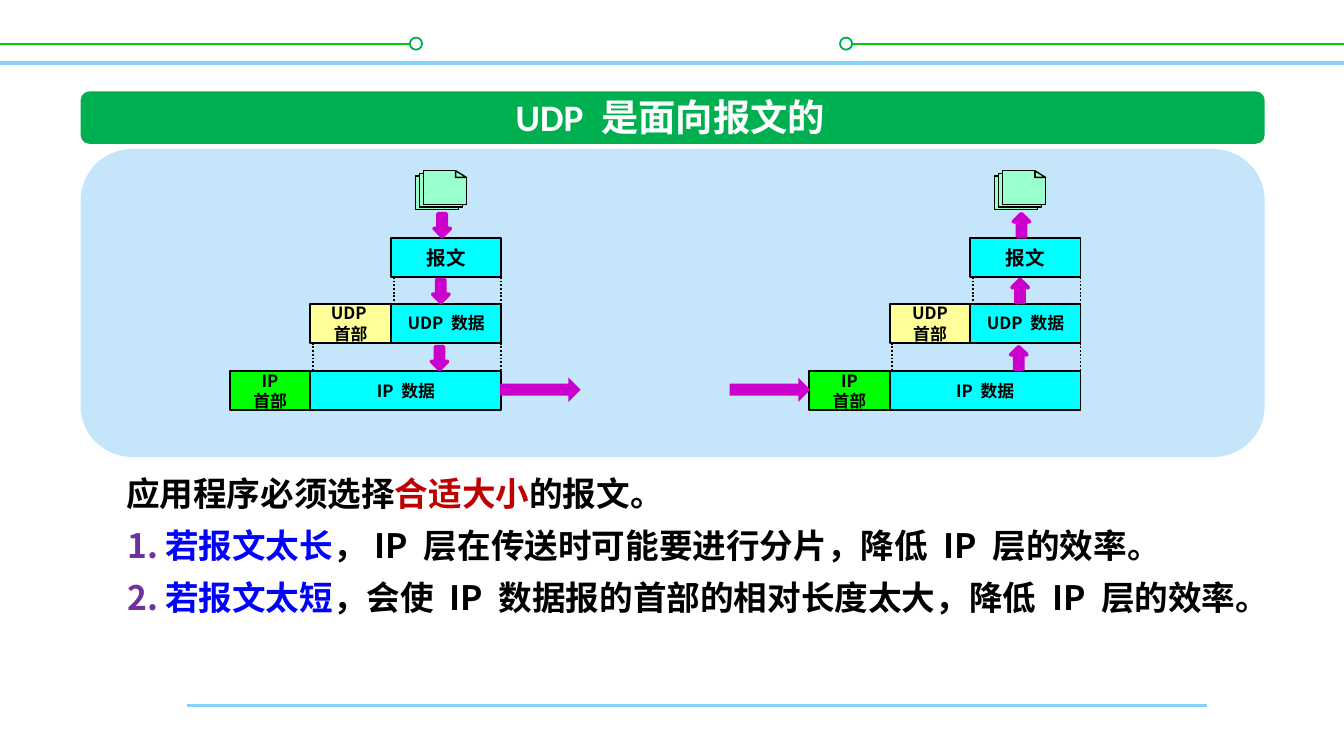
"""Build a slide showing that UDP preserves message boundaries."""
from lxml import etree
from pptx import Presentation
from pptx.dml.color import RGBColor
from pptx.enum import dml, shapes, text
from pptx.oxml import ns
from pptx.util import Inches, Pt

LATIN, CJK = "Calibri", "Noto Sans CJK SC"
WHITE = RGBColor(0xFF, 0xFF, 0xFF)
BLACK = RGBColor(0x00, 0x00, 0x00)
SKY = RGBColor(0x85, 0xD1, 0xF7)
PALE_BLUE = RGBColor(0xC5, 0xE5, 0xFB)
GREEN = RGBColor(0x00, 0xB0, 0x50)
LEAF = RGBColor(0x00, 0xCC, 0x00)
LIME = RGBColor(0x00, 0xFF, 0x00)
MINT = RGBColor(0x99, 0xFF, 0xCC)
CYAN = RGBColor(0x00, 0xFF, 0xFF)
YELLOW = RGBColor(0xFF, 0xFF, 0x99)
MAGENTA = RGBColor(0xCC, 0x00, 0xCC)
RED = RGBColor(0xC0, 0x00, 0x00)
BLUE = RGBColor(0x00, 0x00, 0xFF)
SHAPE = shapes.MSO_SHAPE

BACK_PAGE = [(0, 0.04), (0.03, 0.04), (0.03, 0.27), (0.32, 0.27),
             (0.32, 0.29), (0, 0.29)]
MIDDLE_PAGE = [(0.03, 0.02), (0.06, 0.02), (0.06, 0.25), (0.35, 0.25),
               (0.35, 0.27), (0.03, 0.27)]
FRONT_PAGE = [(0.06, 0), (0.3, 0), (0.3, 0.05), (0.38, 0.05),
              (0.38, 0.25), (0.06, 0.25)]
FOLD = [(0.3, 0), (0.38, 0.05), (0.3, 0.05)]


def paint(shape, fill, line=None, width=1):
    """Give a shape a flat fill and an optional outline."""
    shape.shadow.inherit = False
    shape.fill.solid()
    shape.fill.fore_color.rgb = fill
    if line is None:
        shape.line.fill.background()
    else:
        shape.line.color.rgb = line
        shape.line.width = Pt(width)


def add_block(parent, kind, box, fill, line=None, width=1):
    """Add a preset shape at left, top, width, height in inches."""
    block = parent.add_shape(kind, *map(Inches, box))
    paint(block, fill, line, width)
    return block


def add_rule(parent, start, end, color, width, dash=None):
    """Add a straight line without a shadow."""
    rule = parent.add_connector(
        shapes.MSO_CONNECTOR.STRAIGHT, *map(Inches, start + end))
    rule.line.color.rgb = color
    rule.line.width = Pt(width)
    if dash:
        rule.line.dash_style = dash
    etree.SubElement(rule._element.spPr, ns.qn("a:effectLst"))


def style(paragraph, size, color, name=CJK):
    """Set the bold font shared by a whole paragraph."""
    font = paragraph.font
    font.name, font.size, font.bold = name, Pt(size), True
    font.color.rgb = color


def add_field(parent, box, label, fill, size=9):
    """Add a packet field with a centred label."""
    field = add_block(parent, SHAPE.RECTANGLE, box, fill, BLACK)
    frame = field.text_frame
    frame.text = label
    frame.word_wrap = True
    frame.vertical_anchor = text.MSO_ANCHOR.MIDDLE
    for paragraph in frame.paragraphs:
        paragraph.alignment = text.PP_ALIGN.CENTER
        style(paragraph, size, BLACK)


def add_documents(parent, left, top):
    """Add a stack of pages with a folded corner as one outline."""
    builder = parent.build_freeform(Inches(left), Inches(top + 0.04))
    for outline in (BACK_PAGE, MIDDLE_PAGE, FRONT_PAGE, FOLD):
        points = [(Inches(left + x), Inches(top + y)) for x, y in outline]
        if outline is not BACK_PAGE:
            builder.move_to(*points[0])
        builder.add_line_segments(points[1:])
    paint(builder.convert_to_shape(), MINT, BLACK, 0.75)


def add_host(slide, left, arrow, udp_header):
    """Add one host's stack of message, UDP and IP layers."""
    host = slide.shapes.add_group_shape().shapes
    add_documents(host, left + 1.38, 1.27)
    message, udp, ip = 1.77, 2.26, 2.76
    height, header = 0.29, 0.6
    add_field(host, (left + 1.2, message, 0.82, height), "报文", CYAN, 10.5)
    add_field(host, (left + 1.2, udp, 0.82, height), "UDP 数据", CYAN)
    add_field(host, (left + 0.6, udp, header, height), udp_header, YELLOW)
    add_field(host, (left + 0.6, ip, 1.42, height), "IP 数据", CYAN)
    add_field(host, (left, ip, header, height), "IP\n首部", LIME)
    for step, top in enumerate((1.59, 2.08, 2.58)):
        add_block(host, arrow, (left + 1.52 - 0.01 * step, top, 0.12, 0.17),
                  MAGENTA, MAGENTA, 2)
    for x, top, bottom in ((1.22, message, udp), (2.02, message, udp),
                           (2.02, udp, ip), (0.62, udp, ip)):
        add_rule(host, (left + x, top + height), (left + x, bottom),
                 BLACK, 1, dml.MSO_LINE.ROUND_DOT)


def add_frame_lines(slide):
    """Add the decorative lines and rings at the page edges."""
    add_rule(slide.shapes, (1.39, 5.25), (8.98, 5.25), SKY, 1.5)
    add_rule(slide.shapes, (0, 0.47), (10, 0.47), SKY, 2)
    for start, end, ring in ((0, 3.1, 3.05), (6.25, 10, 6.25)):
        add_rule(slide.shapes, (start, 0.33), (end, 0.33), LEAF, 1)
        add_block(slide.shapes, SHAPE.OVAL, (ring, 0.28, 0.09, 0.09),
                  WHITE, GREEN)


def add_title(slide):
    """Place the title over its green banner."""
    banner = add_block(slide.shapes, SHAPE.ROUNDED_RECTANGLE,
                       (0.6, 0.68, 8.81, 0.39), GREEN)
    title = slide.shapes.title
    banner._element.addnext(title._element)
    title.left, title.top, title.width, title.height = map(
        Inches, (3.73, 0.65, 2.52, 0.44))
    frame = title.text_frame
    frame.text = "UDP 是面向报文的"
    frame.word_wrap = False
    frame.auto_size = text.MSO_AUTO_SIZE.SHAPE_TO_FIT_TEXT
    frame.paragraphs[0].alignment = text.PP_ALIGN.CENTER
    style(frame.paragraphs[0], 20, WHITE, LATIN)


def number(paragraph):
    """Turn a paragraph into a numbered item."""
    props = paragraph._p.get_or_add_pPr()
    props.set("marL", str(Inches(0.29)))
    props.set("indent", str(Inches(-0.28)))
    color = etree.SubElement(props, ns.qn("a:buClr"))
    etree.SubElement(color, ns.qn("a:srgbClr"), val="7030A0")
    etree.SubElement(props, ns.qn("a:buFont"), typeface=CJK)
    etree.SubElement(props, ns.qn("a:buAutoNum"), type="arabicPeriod")


def add_advice(slide):
    """Add the advice on choosing a message size."""
    frame = slide.shapes.add_textbox(
        *map(Inches, (0.84, 3.38, 8.49, 1.24))).text_frame
    frame.word_wrap = True
    frame.auto_size = text.MSO_AUTO_SIZE.SHAPE_TO_FIT_TEXT
    advice = [
        [("应用程序必须选择", BLACK), ("合适大小", RED), ("的报文。", BLACK)],
        [("若报文太长", BLUE),
         ("，IP 层在传送时可能要进行分片，降低 IP 层的效率。", BLACK)],
        [("若报文太短", BLUE),
         ("，会使 IP 数据报的首部的相对长度太大，降低 IP 层的效率。", BLACK)],
    ]
    for index, pieces in enumerate(advice):
        paragraph = frame.add_paragraph() if index else frame.paragraphs[0]
        paragraph.line_spacing = Pt(28)
        if index:
            number(paragraph)
        style(paragraph, 18, BLACK)
        for words, color in pieces:
            run = paragraph.add_run()
            run.text = words
            run.font.color.rgb = color


def main():
    """Build and save the slide."""
    deck = Presentation()
    deck.slide_width, deck.slide_height = Inches(10), Inches(10 * 9 / 16)
    slide = deck.slides.add_slide(deck.slide_layouts[5])
    add_frame_lines(slide)
    add_title(slide)
    add_block(slide.shapes, SHAPE.ROUNDED_RECTANGLE,
              (0.6, 1.11, 8.81, 2.29), PALE_BLUE)
    add_host(slide, 1.71, SHAPE.DOWN_ARROW, "UDP首部")
    add_host(slide, 6.02, SHAPE.UP_ARROW, "UDP\n首部")
    for left in (3.72, 5.43):
        add_block(slide.shapes, SHAPE.RIGHT_ARROW, (left, 2.81, 0.6, 0.18),
                  MAGENTA)
    add_advice(slide)
    deck.save("out.pptx")


if __name__ == "__main__":
    main()
